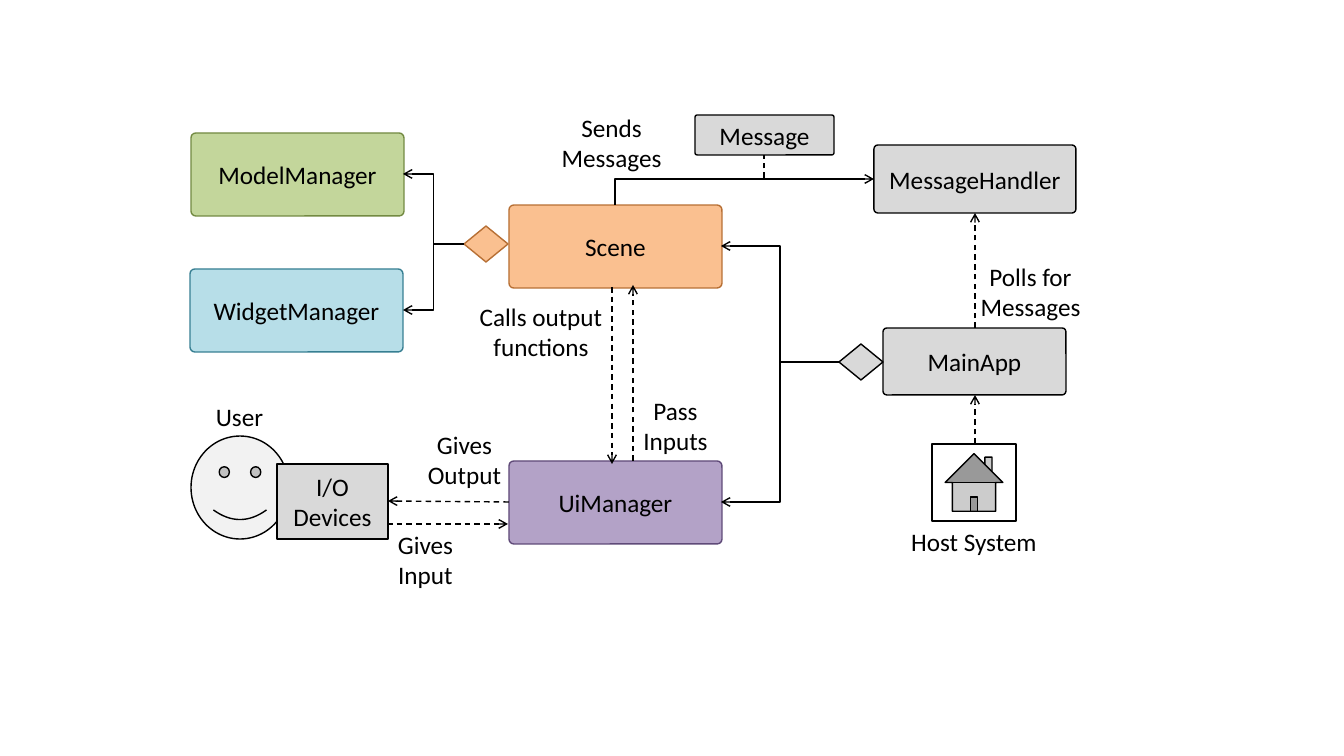
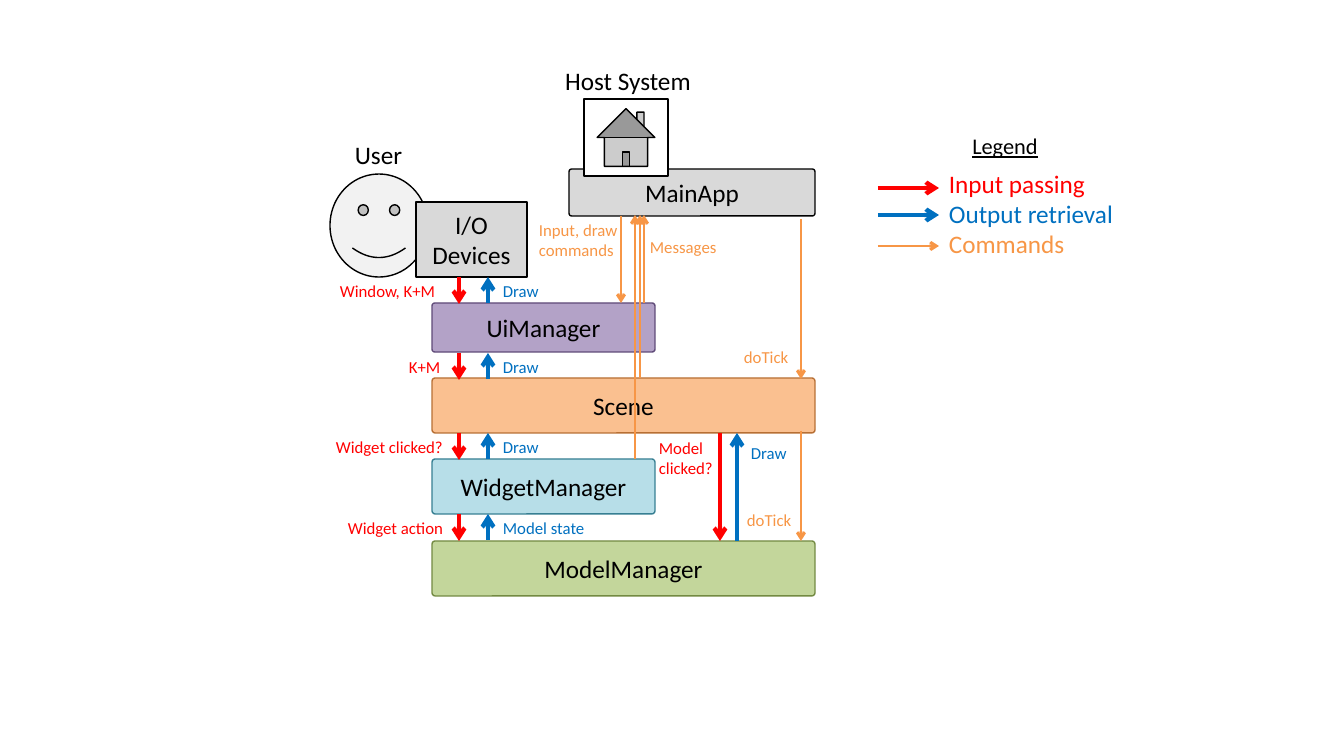
"""Build two architecture slides: class structure and data flow."""
import lxml.etree
import pptx
import pptx.dml.color
import pptx.enum.dml
import pptx.enum.shapes
import pptx.enum.text
import pptx.oxml.ns
import pptx.util

SCALE = 914400 / 100.8
FONT = "Calibri"
COLORS = {
    "black": "000000", "white": "FFFFFF", "gray": "D9D9D9", "face": "F2F2F2",
    "orange": "FAC090", "orange_edge": "B76F34",
    "purple": "B3A2C7", "purple_edge": "5F4A78",
    "green": "C3D69B", "green_edge": "738A42",
    "teal": "B7DEE8", "teal_edge": "377F92",
    "input": "FF0000", "output": "0070C0", "command": "F79646",
}
BOX_STYLES = {
    "Scene": ("orange", "orange_edge"),
    "UiManager": ("purple", "purple_edge"),
    "ModelManager": ("green", "green_edge"),
    "WidgetManager": ("teal", "teal_edge"),
}
GRAY_STYLE = ("gray", "black")
FLOW_WIDTHS = {"input": 3, "output": 3, "command": 2}
SHAPES = pptx.enum.shapes.MSO_SHAPE
CONNECTORS = pptx.enum.shapes.MSO_CONNECTOR
ALIGN = pptx.enum.text.PP_ALIGN


def px(length):
    """Turn pixels into EMU."""
    return pptx.util.Emu(round(length * SCALE))


def rgb(name):
    """Look up a named colour."""
    return pptx.dml.color.RGBColor.from_string(COLORS[name])


def write(frame, text, colors=("black",), size=18, align=ALIGN.CENTER, underline=False):
    """Write text and format each paragraph with its colour."""
    frame.word_wrap = True
    frame.text = text
    for para, color in zip(frame.paragraphs, colors):
        para.alignment = align
        for span in para.runs:
            span.font.name = FONT
            span.font.size = pptx.util.Pt(size)
            span.font.color.rgb = rgb(color)
            if underline:
                span.font.underline = True


def add_figure(page, kind, bounds, style):
    """Add a preset shape with a fill and a thin outline."""
    figure = page.shapes.add_shape(kind, *map(px, bounds))
    figure.shadow.inherit = False
    figure.fill.solid()
    figure.fill.fore_color.rgb = rgb(style[0])
    figure.line.color.rgb = rgb(style[1])
    figure.line.width = pptx.util.Pt(1)
    return figure


def add_box(page, text, bounds, corner=0.057):
    """Add a labelled component box in its class colour."""
    box = add_figure(page, SHAPES.ROUNDED_RECTANGLE, bounds, BOX_STYLES.get(text, GRAY_STYLE))
    box.adjustments[0] = corner
    box.text_frame.vertical_anchor = pptx.enum.text.MSO_ANCHOR.MIDDLE
    write(box.text_frame, text)


def add_label(page, text, bounds, **text_format):
    """Add a wrapped text label."""
    label = page.shapes.add_textbox(*map(px, bounds))
    write(label.text_frame, text, **text_format)


def add_line(page, start, end, color="black", width=1, dashed=False, arrow=True,
             kind=CONNECTORS.STRAIGHT):
    """Add a connector, optionally dashed or with an arrowhead at its end."""
    line = page.shapes.add_connector(kind, *map(px, (*start, *end)))
    line.line.color.rgb = rgb(color)
    line.line.width = pptx.util.Pt(width)
    if dashed:
        line.line.dash_style = pptx.enum.dml.MSO_LINE.DASH
    if arrow:
        lxml.etree.SubElement(line.get_or_add_ln(), pptx.oxml.ns.qn("a:tailEnd"), type="arrow")
    lxml.etree.SubElement(line.element.spPr, pptx.oxml.ns.qn("a:effectLst"))
    return line


def add_corner(page, start, end):
    """Add an arrow that rises from start, then runs right to end."""
    center_x, center_y = (start[0] + end[0]) / 2, (start[1] + end[1]) / 2
    half_run, half_rise = (end[0] - start[0]) / 2, (start[1] - end[1]) / 2
    line = add_line(page, (center_x + half_rise, center_y + half_run),
                    (center_x - half_rise, center_y - half_run), kind=CONNECTORS.ELBOW)
    properties = line.element.spPr
    properties.find(pptx.oxml.ns.qn("a:xfrm")).set("rot", "5400000")
    properties.find(pptx.oxml.ns.qn("a:prstGeom")).set("prst", "bentConnector2")


def add_flow(page, kind, start, end):
    """Add a coloured data-flow arrow."""
    add_line(page, start, end, kind, FLOW_WIDTHS[kind])


def add_note(page, kind, text, left, top, width, height=30):
    """Add a small label in the colour of its flow."""
    add_label(page, text, (left, top, width, height), colors=(kind,), size=12, align=ALIGN.LEFT)


def add_user(page, left, top):
    """Add the user with the I/O devices."""
    add_figure(page, SHAPES.SMILEY_FACE, (left, top, 98, 103), ("face", "black"))
    add_label(page, "User", (left - 15, top - 40, 127, 41))
    add_box(page, "I/O Devices", (left + 86, top + 28, 111, 75), corner=0)


def add_host(page, left, top, label_left, label_top):
    """Add the host system with its label."""
    add_figure(page, SHAPES.ACTION_BUTTON_HOME, (left, top, 84, 77), ("white", "black"))
    add_label(page, "Host System", (label_left, label_top, 162, 40))


def build_structure(page):
    """Draw the classes and how they call each other."""
    for text, bounds in (
        ("MainApp", (883, 328, 183, 67)),
        ("Scene", (509, 205, 213, 83)),
        ("UiManager", (509, 461, 213, 83)),
        ("MessageHandler", (874, 145, 202, 68)),
        ("ModelManager", (191, 133, 213, 83)),
        ("WidgetManager", (190, 269, 213, 83)),
        ("Message", (695, 115, 139, 40)),
    ):
        add_box(page, text, bounds)
    add_figure(page, SHAPES.DIAMOND, (839, 344, 44, 36), GRAY_STYLE)
    add_figure(page, SHAPES.DIAMOND, (464, 226, 44, 36), BOX_STYLES["Scene"])
    for start, end in (
        ((839, 362), (721, 246)), ((839, 362), (721, 502)),
        ((464, 244), (403, 310)), ((464, 244), (403, 174)),
    ):
        add_line(page, start, end, kind=CONNECTORS.ELBOW)
    add_corner(page, (615, 205), (874, 179))
    for start, end in (
        ((387, 524), (508, 524)), ((509, 502), (388, 501)),
        ((975, 328), (975, 213)), ((975, 444), (975, 395)),
        ((633, 461), (633, 285)), ((612, 287), (612, 464)),
    ):
        add_line(page, start, end, dashed=True)
    add_line(page, (764, 178), (764, 155), dashed=True, arrow=False)
    for text, left, top, width in (
        ("Gives Input", 378, 524, 95),
        ("Pass Inputs", 621, 390, 109),
        ("Polls for Messages", 961, 256, 139),
        ("Gives Output", 413, 424, 103),
        ("Calls output functions", 464, 296, 154),
        ("Sends Messages", 542, 107, 139),
    ):
        add_label(page, text, (left, top, width, 71))
    add_host(page, 932, 444, 893, 521)
    add_user(page, 191, 436)


def build_flow(page):
    """Draw the layers with the flows between them."""
    add_box(page, "MainApp", (569, 169, 246, 47))
    add_user(page, 330, 174)
    add_host(page, 584, 99, 547, 60)
    for text, top, width, height in (
        ("UiManager", 303, 223, 49),
        ("Scene", 378, 383, 55),
        ("WidgetManager", 459, 223, 55),
        ("ModelManager", 541, 383, 55),
    ):
        add_box(page, text, (432, top, width, height))
    for top, request, left, width, reply, reply_width in (
        (277, "Window, K+M", 330, 123, "Draw", 63),
        (353, "K+M", 399, 58, "Draw", 63),
        (433, "Widget clicked?", 326, 130, "Draw", 63),
        (514, "Widget action", 338, 127, "Model state", 108),
    ):
        add_flow(page, "input", (459, top), (459, top + 27))
        add_flow(page, "output", (488, top + 26), (488, top))
        add_note(page, "input", request, left, top - 1, width)
        add_note(page, "output", reply, 493, top - 1, reply_width)
    add_flow(page, "input", (720, 433), (720, 541))
    add_flow(page, "output", (737, 541), (737, 433))
    for x, start, end in (
        (621, 216, 303), (801, 219, 379), (801, 431, 541),
        (635, 459, 215), (640, 378, 215), (644, 303, 215),
    ):
        add_flow(page, "command", (x, start), (x, end))
    add_note(page, "command", "Input, draw commands", 529, 215, 102, 50)
    add_note(page, "command", "Messages", 640, 232, 88)
    add_note(page, "command", "doTick", 734, 342, 69)
    add_note(page, "command", "doTick", 737, 505, 69)
    add_note(page, "input", "Model clicked?", 649, 433, 90, 50)
    add_note(page, "output", "Draw", 741, 438, 63)
    add_label(page, "Legend", (875, 127, 260, 37), size=16, underline=True)
    add_label(page, "Input passing\nOutput retrieval\nCommands", (939, 163, 196, 102),
              colors=tuple(FLOW_WIDTHS), align=ALIGN.LEFT)
    for kind, y in zip(FLOW_WIDTHS, (188, 215, 246)):
        add_flow(page, kind, (878, y), (939, y))


def main():
    """Build and save the deck."""
    deck = pptx.Presentation()
    deck.slide_width, deck.slide_height = px(1344), px(756)
    for build in (build_structure, build_flow):
        build(deck.slides.add_slide(deck.slide_layouts[6]))
    deck.save("out.pptx")


main()
